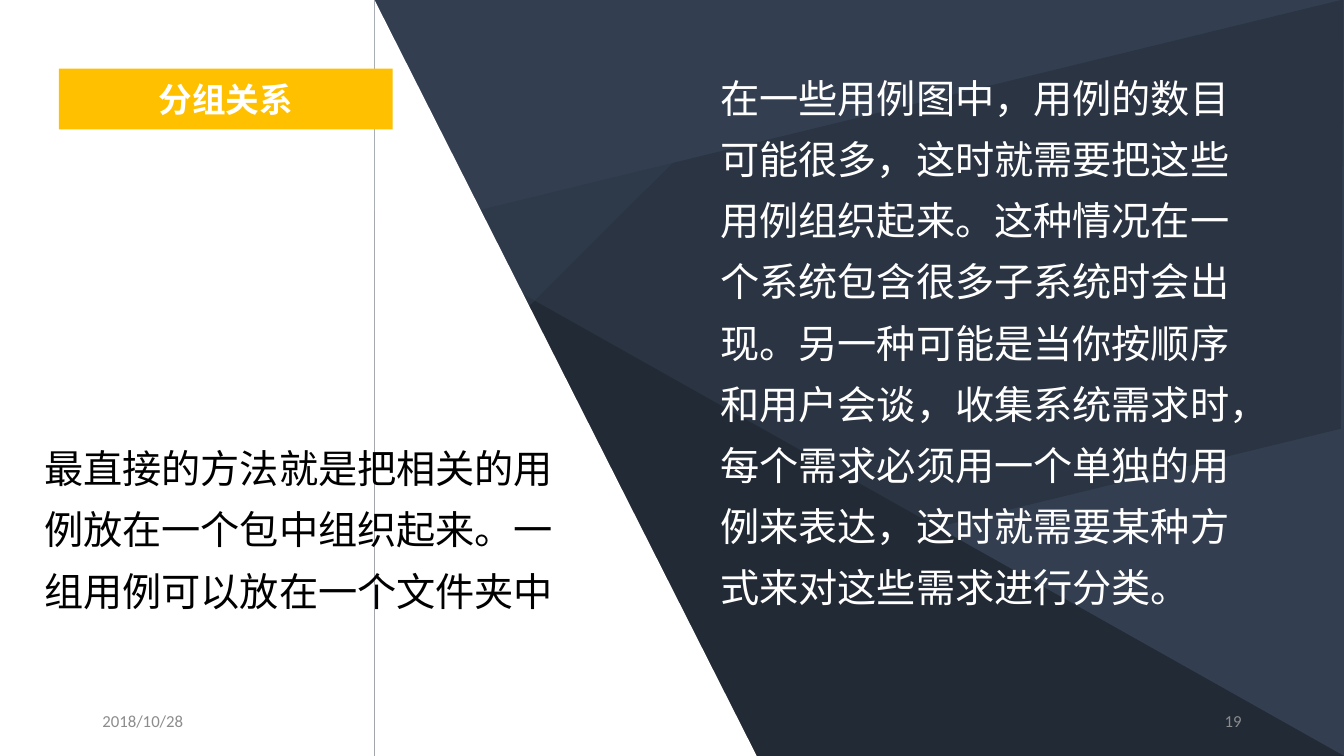
"""Build the use case grouping slide."""
from dataclasses import dataclass

from lxml import etree
from pptx import Presentation
from pptx import util as u
from pptx.dml.color import RGBColor
from pptx.enum import shapes, text
from pptx.oxml.ns import qn


@dataclass(frozen=True)
class Theme:
    """Colours, fonts and type sizes."""
    slate: str = "333F50"
    navy: str = "222A35"
    white: str = "FFFFFF"
    black: str = "000000"
    gold: str = "FFC000"
    grey: str = "8C8C8C"
    plain: str = "Calibri"
    prose: str = "Quicksand"
    body: int = 28
    head: int = 24
    foot: int = 12


class Deck:
    """Hold the theme and the current slide, and draw on it."""

    def __init__(self, theme, wide, high):
        """Open a title-only slide of the given size."""
        self.theme = theme
        self.file = Presentation()
        self.file.slide_width, self.file.slide_height = u.Pt(wide), u.Pt(high)
        self.slide = self.file.slides.add_slide(self.file.slide_layouts[5])
        self.paint(self.slide.background.fill, theme.slate)

    def apply(self, item, **form):
        """Set each format value on the item."""
        for name, value in form.items():
            setattr(item, name, value)

    def place(self, item, box):
        """Move and size an item."""
        self.apply(item, **dict(zip(("left", "top", "width", "height"), map(u.Pt, box))))

    def paint(self, fill, color):
        """Fill with one solid colour."""
        fill.solid()
        fill.fore_color.rgb = RGBColor.from_string(color)

    def shape(self, kind, box, color, turn=0, adjust=None, alpha=None):
        """Draw a flat preset shape."""
        item = self.slide.shapes.add_shape(kind, *map(u.Pt, box))
        item.shadow.inherit = False
        item.rotation = turn
        self.paint(item.fill, color)
        item.line.fill.background()
        if adjust is not None:
            item.adjustments[0] = adjust
        if alpha is not None:
            tone = item._element.spPr.find(".//" + qn("a:srgbClr"))
            etree.SubElement(tone, qn("a:alpha"), val=str(alpha * 1000))

    def label(self, item, words, color, face, size, bold=False, align=None, space=None,
              anchor=text.MSO_ANCHOR.MIDDLE, fit=text.MSO_AUTO_SIZE.NONE):
        """Put one formatted paragraph in an item."""
        frame = item.text_frame
        self.apply(frame, word_wrap=True, auto_size=fit, vertical_anchor=anchor)
        para = frame.paragraphs[0]
        self.apply(para, alignment=align, line_spacing=space)
        run = para.add_run()
        run.text = words
        self.apply(run.font, name=face, size=u.Pt(size), bold=bold)
        run.font.color.rgb = RGBColor.from_string(color)

    def title(self, words, box):
        """Format the title placeholder as a gold label in front."""
        item = self.slide.shapes.title
        self.slide.shapes._spTree.append(item._element)
        self.place(item, box)
        self.paint(item.fill, self.theme.gold)
        self.label(item, words, self.theme.white, self.theme.plain, self.theme.head,
                   bold=True, align=text.PP_ALIGN.CENTER)

    def prose(self, words, box, color):
        """Add a body paragraph."""
        item = self.slide.shapes.add_textbox(*map(u.Pt, box))
        self.label(item, words, color, self.theme.prose, self.theme.body, space=1.3,
                   anchor=text.MSO_ANCHOR.TOP, fit=text.MSO_AUTO_SIZE.SHAPE_TO_FIT_TEXT)

    def foot(self, words, left, align):
        """Add a small footer text."""
        item = self.slide.shapes.add_textbox(*map(u.Pt, (left, 500.5, 216, 28.75)))
        self.label(item, words, self.theme.grey, self.theme.plain, self.theme.foot, align=align)


def main():
    """Draw the slide and save it."""
    theme = Theme()
    deck = Deck(theme, 960, 540)
    kind = shapes.MSO_SHAPE
    wedge = kind.ISOSCELES_TRIANGLE

    deck.shape(wedge, (0, 0, 960, 540), theme.navy, adjust=0)
    deck.shape(kind.PARALLELOGRAM, (-51, 121, 1061, 297.5), theme.navy, turn=346.3, alpha=50)
    deck.shape(wedge, (85, -83.5, 389.5, 800.5), theme.slate, turn=199.1, adjust=1, alpha=50)
    deck.shape(kind.RECTANGLE, (-113, 0, 380.5, 540), theme.white)
    deck.shape(wedge, (134, 133.5, 540, 273), theme.white, turn=90, adjust=1)

    deck.title("分组关系", (42, 49, 238.5, 43.5))
    deck.prose("在一些用例图中，用例的数目可能很多，这时就需要把这些用例组织起来。"
               "这种情况在一个系统包含很多子系统时会出现。"
               "另一种可能是当你按顺序和用户会谈，收集系统需求时，"
               "每个需求必须用一个单独的用例来表达，这时就需要某种方式来对这些需求进行分类。",
               (507.5, 39.5, 390, 404), theme.white)
    deck.prose("最直接的方法就是把相关的用例放在一个包中组织起来。一组用例可以放在一个文件夹中",
               (24.5, 304, 386, 139.5), theme.black)
    deck.foot("2018/10/28", 66, text.PP_ALIGN.LEFT)
    deck.foot("19", 678, text.PP_ALIGN.RIGHT)
    deck.file.save("out.pptx")


if __name__ == "__main__":
    main()
